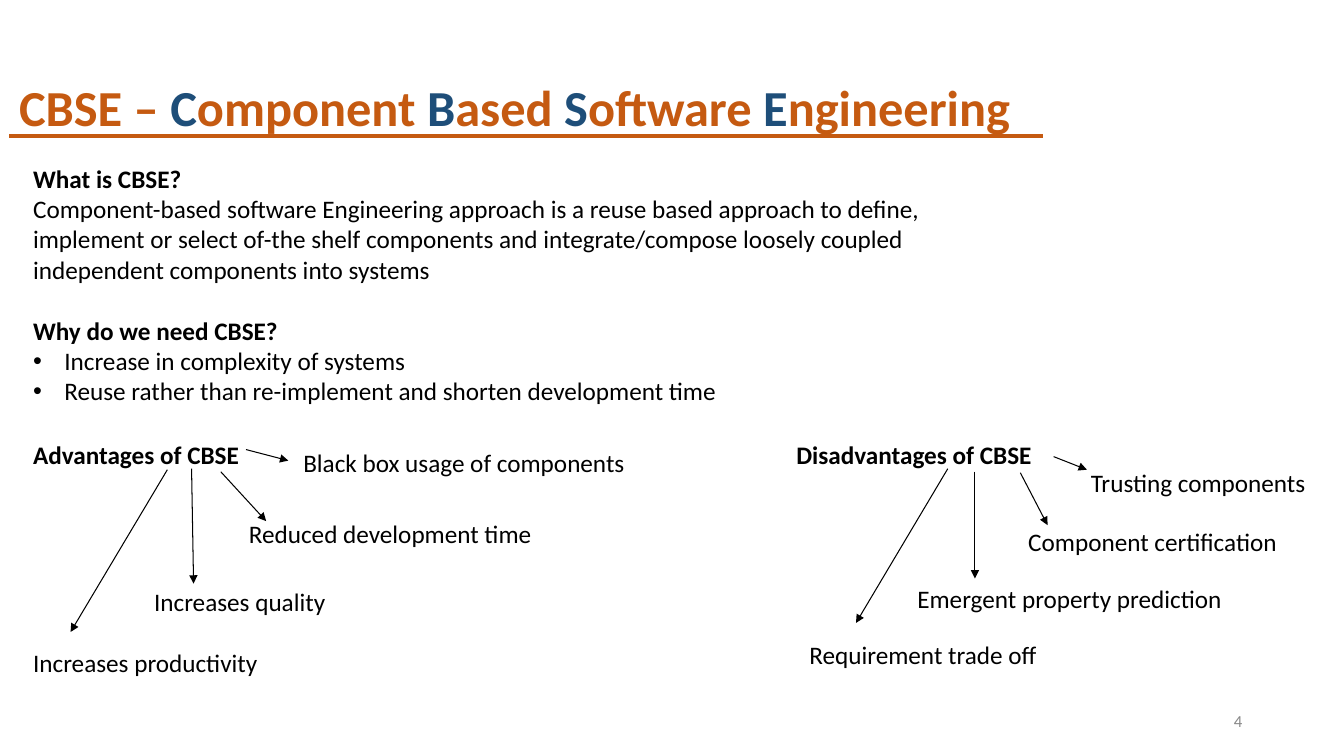
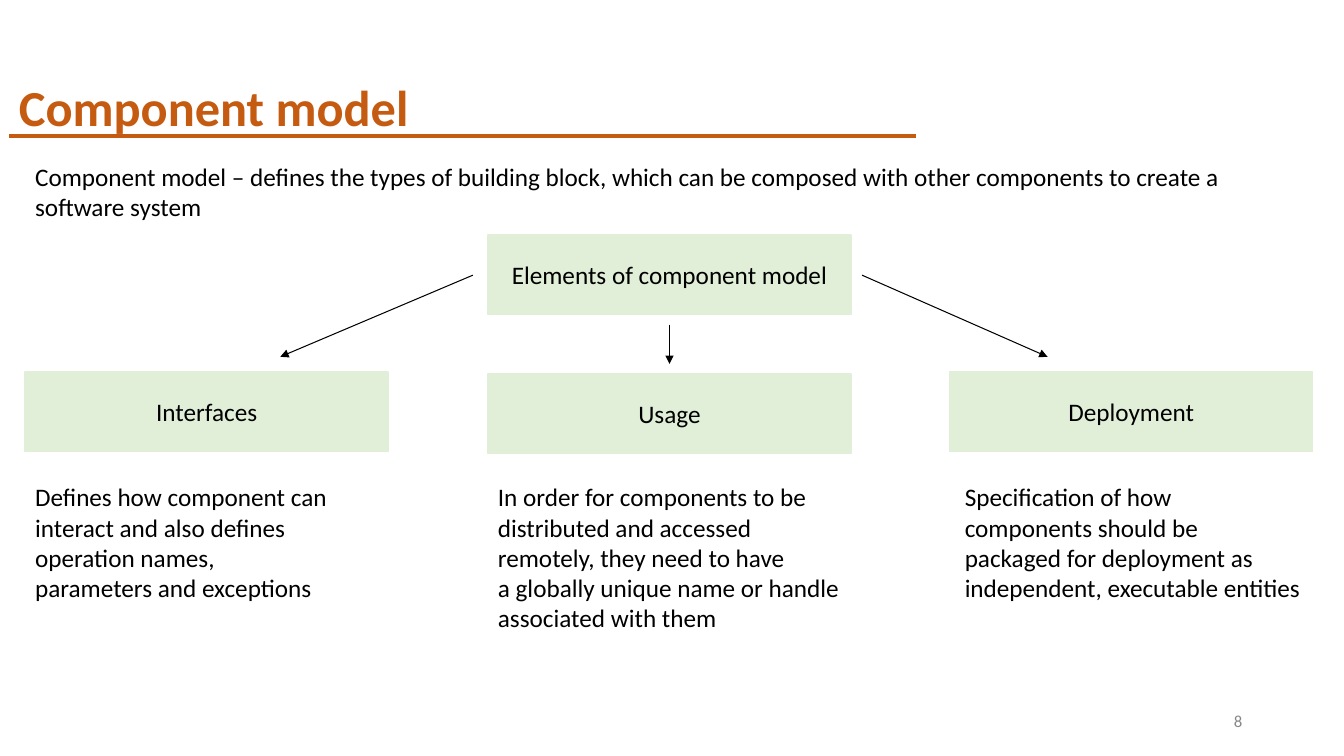
"""Build two slides on component-based software engineering."""
from typing import NamedTuple

from lxml import etree
from pptx import Presentation
from pptx.dml.color import RGBColor
from pptx.enum.shapes import MSO_CONNECTOR, MSO_SHAPE
from pptx.enum.text import MSO_ANCHOR, PP_ALIGN
from pptx.oxml.ns import qn
from pptx.shapes.base import BaseShape
from pptx.slide import Slide
from pptx.text.text import TextFrame, _Paragraph
from pptx.util import Emu, Pt

STRAIGHT = MSO_CONNECTOR.STRAIGHT
RECTANGLE = MSO_SHAPE.RECTANGLE
TOP, MIDDLE = MSO_ANCHOR.TOP, MSO_ANCHOR.MIDDLE
LEFT, CENTER, RIGHT = PP_ALIGN.LEFT, PP_ALIGN.CENTER, PP_ALIGN.RIGHT

EMU_PER_PX = 9144
SLIDE_WIDTH, SLIDE_HEIGHT = 1333, 750
MARGIN = 9
RULE_Y = 135
BULLET_INDENT = 31
LINE_HEIGHT = 22
FONT = "Calibri"

ORANGE = RGBColor(0xC5, 0x5A, 0x11)
BLUE = RGBColor(0x1E, 0x4E, 0x79)
GRAY = RGBColor(0x88, 0x88, 0x88)
BLACK = RGBColor(0x00, 0x00, 0x00)
GREEN = RGBColor(0xE1, 0xEF, 0xD8)


class Box(NamedTuple):
    left: int
    top: int
    width: int
    height: int


class Style(NamedTuple):
    size: int = 18
    color: RGBColor = BLACK
    bold: bool = False
    align: PP_ALIGN = LEFT
    anchor: MSO_ANCHOR = TOP


class Line(NamedTuple):
    start: tuple[int, int]
    end: tuple[int, int]


class TitlePart(NamedTuple):
    text: str
    color: RGBColor = ORANGE


class Label(NamedTuple):
    text: str
    box: Box
    arrow: Line


class Branch(NamedTuple):
    heading: str
    box: Box
    labels: list[Label]


class Section(NamedTuple):
    heading: str
    lines: list[str]
    bulleted: bool = False


class Element(NamedTuple):
    name: str
    box: Box
    arrow: Line
    description: str
    description_box: Box


BODY = Style()
HEADING = Style(bold=True)
BLOCK = Style(align=CENTER, anchor=MIDDLE)
TITLE = Style(size=36, color=ORANGE, bold=True)
NUMBER = Style(size=12, color=GRAY, align=RIGHT, anchor=MIDDLE)

CBSE_TITLE = [
    TitlePart("CBSE – "),
    TitlePart("C", BLUE), TitlePart("omponent "),
    TitlePart("B", BLUE), TitlePart("ased "),
    TitlePart("S", BLUE), TitlePart("oftware "),
    TitlePart("E", BLUE), TitlePart("ngineering"),
]

SECTIONS = [
    Section("What is CBSE?", [
        "Component-based software Engineering approach is a reuse based approach to define,",
        "implement or select of-the shelf components and integrate/compose loosely coupled",
        "independent components into systems",
    ]),
    Section("Why do we need CBSE?", [
        "Increase in complexity of systems",
        "Reuse rather than re-implement and shorten development time",
    ], bulleted=True),
]

BRANCHES = [
    Branch("Advantages of CBSE", Box(23, 431, 260, 40), [
        Label("Black box usage of components", Box(291, 439, 344, 40), Line((244, 446), (286, 457))),
        Label("Reduced development time", Box(237, 509, 375, 40), Line((219, 468), (264, 517))),
        Label("Increases quality", Box(143, 577, 312, 40), Line((190, 465), (192, 579))),
        Label("Increases productivity", Box(23, 637, 252, 40), Line((166, 466), (70, 627))),
    ]),
    Branch("Disadvantages of CBSE", Box(780, 431, 280, 40), [
        Label("Trusting components", Box(1072, 459, 261, 40), Line((1045, 453), (1078, 466))),
        Label("Component certification", Box(1010, 517, 277, 40), Line((1012, 469), (1039, 521))),
        Label("Emergent property prediction", Box(900, 574, 344, 40), Line((967, 468), (967, 574))),
        Label("Requirement trade off", Box(793, 629, 324, 40), Line((940, 465), (849, 618))),
    ]),
]

MODEL_BOX = Box(484, 233, 360, 79)
ELEMENTS = [
    Element(
        "Interfaces", Box(25, 369, 360, 79), Line((469, 273), (278, 354)),
        "Defines how component can interact and also defines operation names,\n"
        "parameters and exceptions",
        Box(25, 473, 360, 131),
    ),
    Element(
        "Usage", Box(484, 371, 360, 79), Line((664, 322), (664, 361)),
        "In order for components to be distributed and accessed remotely, they need to have\n"
        "a globally unique name or handle associated with them",
        Box(484, 473, 360, 162),
    ),
    Element(
        "Deployment", Box(942, 369, 360, 79), Line((855, 273), (1039, 354)),
        "Specification of how components should be\n"
        "packaged for deployment as independent, executable entities",
        Box(947, 473, 355, 131),
    ),
]


def px(value: int) -> Emu:
    return Emu(value * EMU_PER_PX)


def format_paragraph(paragraph: _Paragraph, style: Style) -> None:
    paragraph.alignment = style.align
    for run in paragraph.runs:
        run.font.name = FONT
        run.font.size = Pt(style.size)
        run.font.bold = style.bold
        run.font.color.rgb = style.color


def fill_text(shape: BaseShape, text: str, style: Style) -> TextFrame:
    text_frame = shape.text_frame
    text_frame.word_wrap = True
    text_frame.vertical_anchor = style.anchor
    text_frame.text = text
    for paragraph in text_frame.paragraphs:
        format_paragraph(paragraph, style)
    return text_frame


def add_text(slide: Slide, text: str, box: Box, style: Style = BODY) -> TextFrame:
    return fill_text(slide.shapes.add_textbox(*map(px, box)), text, style)


def add_block(slide: Slide, text: str, box: Box) -> None:
    shape = slide.shapes.add_shape(RECTANGLE, *map(px, box))
    shape.shadow.inherit = False
    shape.fill.solid()
    shape.fill.fore_color.rgb = GREEN
    shape.line.color.rgb = GREEN
    shape.line.width = Pt(1)
    fill_text(shape, text, BLOCK)


def add_line(slide: Slide, line: Line, color: RGBColor = BLACK,
             width: float = 0.75, arrow: bool = True) -> None:
    connector = slide.shapes.add_connector(STRAIGHT, *map(px, line.start + line.end))
    connector.line.color.rgb = color
    connector.line.width = Pt(width)
    if arrow:
        outline = connector.line._get_or_add_ln()
        etree.SubElement(outline, qn("a:tailEnd"), type="triangle")
    etree.SubElement(connector._element.spPr, qn("a:effectLst"))


def add_bullet(paragraph: _Paragraph) -> None:
    properties = paragraph._p.get_or_add_pPr()
    properties.set("marL", str(px(BULLET_INDENT)))
    properties.set("indent", str(-px(BULLET_INDENT)))
    etree.SubElement(properties, qn("a:buFont"), typeface="Arial")
    etree.SubElement(properties, qn("a:buChar"), char="•")


def add_sections(slide: Slide, sections: list[Section], box: Box) -> None:
    text = "\n".join(line for section in sections for line in [section.heading, *section.lines])
    paragraphs = iter(add_text(slide, text, box).paragraphs)
    for index, section in enumerate(sections):
        heading = next(paragraphs)
        format_paragraph(heading, HEADING)
        if index:
            heading.space_before = Pt(LINE_HEIGHT)
        for _ in section.lines:
            paragraph = next(paragraphs)
            if section.bulleted:
                add_bullet(paragraph)


def add_titled_slide(presentation: Presentation, title: list[TitlePart],
                     title_width: int, rule_width: int, number: int) -> Slide:
    slide = presentation.slides.add_slide(presentation.slide_layouts[6])
    text_frame = add_text(slide, "", Box(MARGIN, 71, title_width, 50), TITLE)
    paragraph = text_frame.paragraphs[0]
    for part in title:
        paragraph.add_run().text = part.text
    format_paragraph(paragraph, TITLE)
    for run, part in zip(paragraph.runs, title):
        run.font.color.rgb = part.color
    rule = Line((MARGIN, RULE_Y), (MARGIN + rule_width, RULE_Y))
    add_line(slide, rule, ORANGE, 3, arrow=False)
    add_text(slide, str(number), Box(942, 695, 300, 40), NUMBER)
    return slide


def build_cbse_slide(presentation: Presentation) -> None:
    slide = add_titled_slide(presentation, CBSE_TITLE, 1119, 1025, 4)
    add_sections(slide, SECTIONS, Box(23, 157, 1212, 260))
    for branch in BRANCHES:
        add_text(slide, branch.heading, branch.box, HEADING)
        for label in branch.labels:
            add_text(slide, label.text, label.box)
            add_line(slide, label.arrow)


def build_model_slide(presentation: Presentation) -> None:
    slide = add_titled_slide(presentation, [TitlePart("Component model")], 900, 900, 8)
    definition = ("Component model – defines the types of building block, which can be "
                  "composed with other components to create a software system")
    add_text(slide, definition, Box(25, 155, 1202, 71))
    add_block(slide, "Elements of component model", MODEL_BOX)
    for element in ELEMENTS:
        add_block(slide, element.name, element.box)
        add_line(slide, element.arrow)
        add_text(slide, element.description, element.description_box)


def main() -> None:
    presentation = Presentation()
    presentation.slide_width = px(SLIDE_WIDTH)
    presentation.slide_height = px(SLIDE_HEIGHT)
    build_cbse_slide(presentation)
    build_model_slide(presentation)
    presentation.save("out.pptx")


if __name__ == "__main__":
    main()
